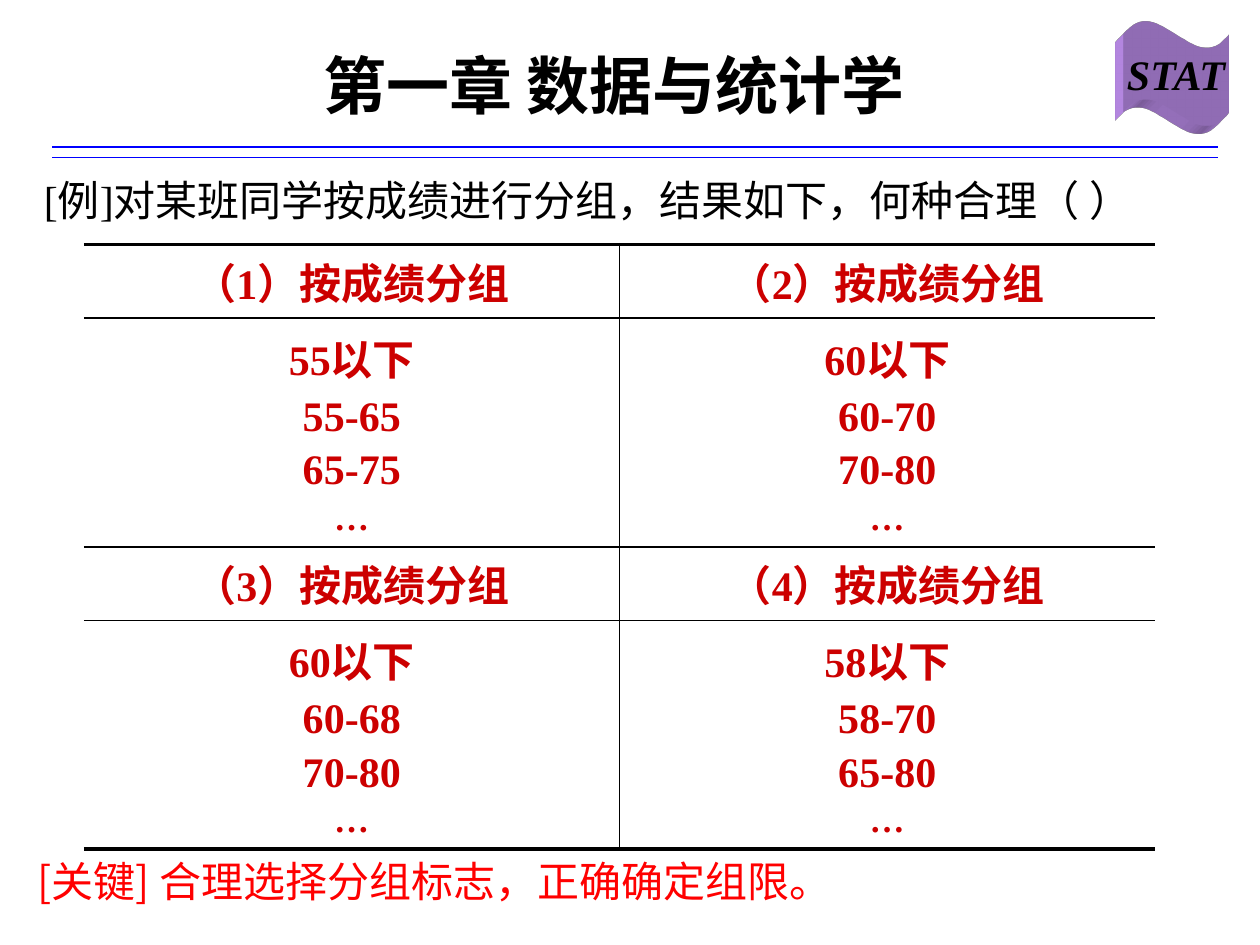
from lxml.etree import SubElement
from pptx import Presentation
from pptx.dml.color import RGBColor
from pptx.enum.shapes import MSO_CONNECTOR, MSO_SHAPE
from pptx.enum.text import MSO_ANCHOR, PP_ALIGN
from pptx.oxml import parse_xml
from pptx.oxml.ns import nsdecls, qn
from pptx.util import Pt

TITLE = "第一章 数据与统计学"
BADGE = "STAT"
TASK = "[例]对某班同学按成绩进行分组，结果如下，何种合理（ ）"
KEY = "[关键] 合理选择分组标志，正确确定组限。"
ROWS = [
    [["（1）按成绩分组"], ["（2）按成绩分组"]],
    [["55以下", "55-65", "65-75", "…"], ["60以下", "60-70", "70-80", "…"]],
    [["（3）按成绩分组"], ["（4）按成绩分组"]],
    [["60以下", "60-68", "70-80", "…"], ["58以下", "58-70", "65-80", "…"]],
]

THEME = {
    "latin": "Times New Roman", "cjk": "Noto Sans CJK SC",
    "ink": "000000", "group": "CC0000", "key": "FF0000",
    "rule": "0000FF", "badge": "CC99FF",
    "title": 36, "body": 24, "dots": 20,
    "thin": 0.75, "grid": 1, "edge": 2.25,
}
HEAD, BODY = 42, 130.8  # row heights
GAP = 0.16              # space between cell lines, as a share of type size


def color(name):
    return RGBColor.from_string(THEME[name])


def write(frame, lines, size="body", ink="ink", font="latin", bold=False,
          italic=False, align=PP_ALIGN.LEFT, anchor=MSO_ANCHOR.TOP, wrap=True):
    frame.word_wrap = wrap
    frame.vertical_anchor = anchor
    for i, line in enumerate(lines):
        para = frame.paragraphs[0] if i == 0 else frame.add_paragraph()
        para.alignment = align
        points = THEME["dots" if line == "…" else size]
        if i:
            para.space_before = Pt(round(points * GAP, 1))
        run = para.add_run()
        run.text = line
        run.font.size = Pt(points)
        run.font.bold, run.font.italic = bold, italic
        run.font.color.rgb = color(ink)
        run.font.name = THEME[font]
        SubElement(run.font._element, qn("a:ea"), typeface=THEME["cjk"])


def add_text(slide, box, text, **style):
    shape = slide.shapes.add_textbox(*map(Pt, box))
    write(shape.text_frame, [text], **style)


def add_rule(slide, y):
    line = slide.shapes.add_connector(
        MSO_CONNECTOR.STRAIGHT, Pt(30), Pt(y), Pt(696), Pt(y))
    line.line.color.rgb = color("rule")
    line.line.width = Pt(THEME["thin"])
    SubElement(line._element.spPr, qn("a:effectLst"))


def add_badge(slide):
    """Draw the wave with an extrusion towards the lower left."""
    wave = slide.shapes.add_shape(
        MSO_SHAPE.WAVE, Pt(642), Pt(12), Pt(60), Pt(60))
    wave.adjustments[0], wave.adjustments[1] = 0.13, 0
    wave.shadow.inherit = False
    wave.fill.solid()
    wave.fill.fore_color.rgb = color("badge")
    wave.line.fill.background()
    props = wave._element.spPr
    props.append(parse_xml(
        f'<a:scene3d {nsdecls("a")}>'
        '<a:camera prst="legacyObliqueBottomLeft"/>'
        '<a:lightRig rig="legacyFlat3" dir="t"/></a:scene3d>'))
    props.append(parse_xml(
        f'<a:sp3d {nsdecls("a")} extrusionH="163500" '
        'prstMaterial="legacyMatte"><a:extrusionClr>'
        f'<a:srgbClr val="{THEME["badge"]}"/></a:extrusionClr></a:sp3d>'))
    write(wave.text_frame, [BADGE], bold=True, italic=True, wrap=False,
          align=PP_ALIGN.CENTER, anchor=MSO_ANCHOR.MIDDLE)


def set_edges(cell, edges):
    """Set borders from side: width; a width of 0 hides the side."""
    props = cell._tc.get_or_add_tcPr()
    for i, side in enumerate("LRTB"):
        width = edges[side]
        paint = (f'<a:solidFill><a:srgbClr val="{THEME["ink"]}"/></a:solidFill>'
                 if width else "<a:noFill/>")
        props.insert(i, parse_xml(
            f'<a:ln{side} {nsdecls("a")} w="{Pt(width)}">{paint}</a:ln{side}>'))


def add_groups(slide):
    high = [HEAD if len(row[0]) == 1 else BODY for row in ROWS]
    table = slide.shapes.add_table(
        len(ROWS), len(ROWS[0]), Pt(48), Pt(139.7), Pt(612), Pt(sum(high))).table
    table.first_row = table.horz_banding = False
    for col in table.columns:
        col.width = Pt(306)
    last, right = len(ROWS) - 1, len(ROWS[0]) - 1
    grid, edge = THEME["grid"], THEME["edge"]
    for r, row in enumerate(ROWS):
        table.rows[r].height = Pt(high[r])
        for c, lines in enumerate(row):
            cell = table.cell(r, c)
            cell.fill.background()
            cell.vertical_anchor = MSO_ANCHOR.MIDDLE
            write(cell.text_frame, lines, ink="group", bold=True,
                  align=PP_ALIGN.CENTER, anchor=None, wrap=None)
            set_edges(cell, {
                "L": grid if c else 0,
                "R": grid if c < right else 0,
                "T": grid if r else edge,
                "B": grid if r < last else edge,
            })


def main():
    deck = Presentation()
    deck.slide_width, deck.slide_height = Pt(720), Pt(540)
    slide = deck.slides.add_slide(deck.slide_layouts[6])
    add_text(slide, (36, 24, 630, 48), TITLE, size="title", bold=True,
             align=PP_ALIGN.CENTER, anchor=MSO_ANCHOR.MIDDLE)
    for y in (84, 90):
        add_rule(slide, y)
    add_badge(slide)
    add_text(slide, (18, 96, 684, 426), TASK)
    add_groups(slide)
    add_text(slide, (14.4, 485.3, 652, 36), KEY, ink="key", font="cjk")
    deck.save("out.pptx")


if __name__ == "__main__":
    main()
